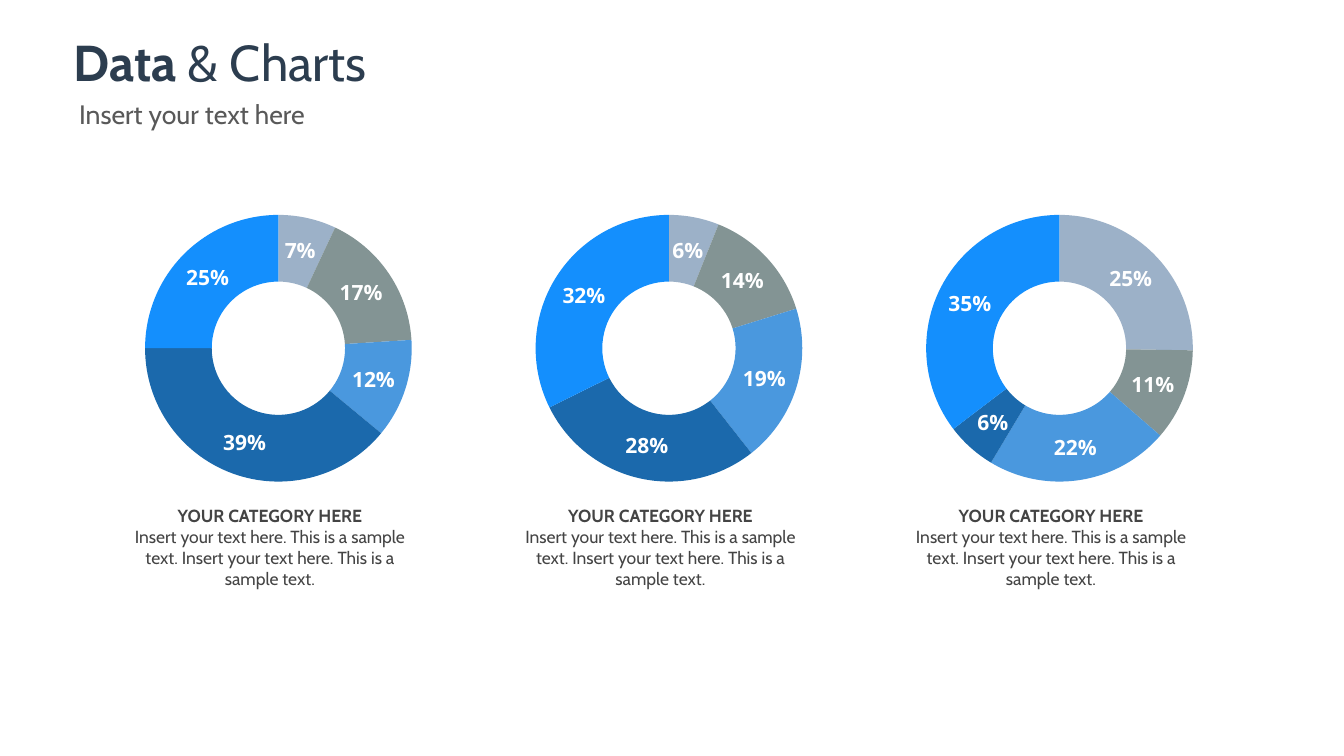
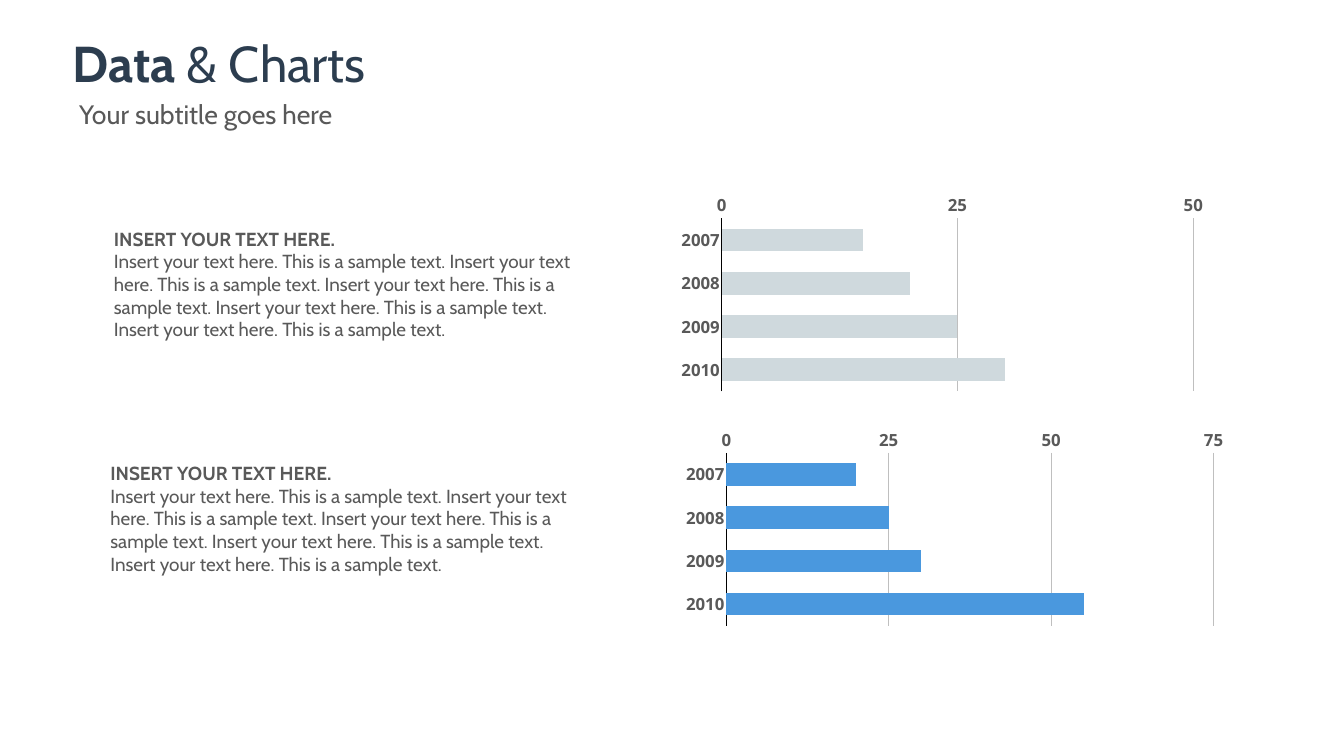
from dataclasses import dataclass

from pptx import Presentation
from pptx.chart.data import CategoryChartData
from pptx.dml.color import RGBColor
from pptx.enum.chart import XL_AXIS_CROSSES, XL_CHART_TYPE, XL_TICK_MARK
from pptx.enum.text import MSO_ANCHOR, MSO_AUTO_SIZE, PP_ALIGN
from pptx.oxml import parse_xml
from pptx.oxml.ns import nsdecls
from pptx.util import Inches, Pt

# Content
TITLE = [("Data ", True), ("& Charts", False)]
SAMPLE = "Insert your text here. This is a sample text."

DONUT_SUBTITLE = "Insert your text here"
DONUT_HEADING = "YOUR CATEGORY HERE"
DONUT_BODY = " ".join([SAMPLE] * 2)
DONUT_CATEGORIES = ["1", "2", "3", "4", "5"]
DONUTS = [[7, 17, 12, 39, 25], [6, 14, 19, 28, 32], [25, 11, 22, 6, 35]]

BAR_SUBTITLE = "Your subtitle goes here"
BAR_HEADING = "INSERT YOUR TEXT HERE."
BAR_BODY = " ".join([SAMPLE] * 5)
YEARS = ["2007", "2008", "2009", "2010"]
BARS = [
    {"values": [15, 20, 25, 30], "maximum": 50, "color": "CFD9DD",
     "plot": (0.121, 0.099, 0.813, 0.746)},
    {"values": [20, 25, 30, 55], "maximum": 75, "color": "4A98DE",
     "plot": (0.135, 0.099, 0.84, 0.746)},
]
SERIES_NAME = "Region 1"


# Theme
@dataclass(frozen=True)
class Theme:
    text_font: str = "Cabin"
    number_font: str = "Open Sans"
    chart_font: str = "Calibri"
    navy: str = "2C3D4F"
    gray: str = "595959"
    dark_gray: str = "444444"
    grid: str = "BFBFBF"
    black: str = "000000"
    white: str = "FFFFFF"
    slices: tuple = ("9CB1C8", "839494", "4A98DE", "1B69AC", "148FFD")
    title_size: int = 72
    subtitle_size: int = 38
    body_size: int = 27
    caption_size: int = 25
    label_size: int = 30
    axis_size: int = 24
    chart_size: int = 10


THEME = Theme()

# Grid, in inches
SLIDE_WIDTH, SLIDE_HEIGHT = 26.67, 15
INSET = 0.06
DONUT_LEFT, DONUT_TOP, DONUT_PITCH = 0.5, 3.92, 7.75
DONUT_WIDTH, DONUT_HEIGHT = 9.71, 5.98
DONUT_PLOT = (0.245, 0.057, 0.545, 0.886)
CAPTION_WIDTH, CAPTION_HEIGHT = 6.04, 1.8
CAPTION_TOP = DONUT_TOP + DONUT_HEIGHT + 0.05
BAR_LEFT, BAR_TOP, BAR_WIDTH, BAR_HEIGHT = 12.93, 3.85, 11.51, 4.63
ROW_PITCH, ROW_SHIFT = 4.65, -0.07
BODY_LEFT, BODY_TOP, BODY_WIDTH, BODY_HEIGHT = 2.26, 4.51, 9.36, 2.27


# Helpers
def apply(target, **values):
    for name, value in values.items():
        setattr(target, name, value)


def style_font(font, name, size, color, bold=False):
    apply(font, name=name, size=Pt(size), bold=bold)
    font.color.rgb = RGBColor.from_string(color)


def place(shape, left, top, width, height):
    apply(shape, left=Inches(left), top=Inches(top),
          width=Inches(width), height=Inches(height))


def fill_text(shape, paragraphs, size, color, inset=INSET, wrap=True,
              anchor=MSO_ANCHOR.MIDDLE, align=PP_ALIGN.LEFT):
    """Write paragraphs, each a list of (text, bold) runs."""
    frame = shape.text_frame
    margin = Inches(inset)
    apply(frame, word_wrap=wrap, auto_size=MSO_AUTO_SIZE.SHAPE_TO_FIT_TEXT,
          vertical_anchor=anchor, margin_left=margin, margin_right=margin,
          margin_top=margin, margin_bottom=margin)
    for index, runs in enumerate(paragraphs):
        paragraph = frame.add_paragraph() if index else frame.paragraphs[0]
        paragraph.alignment = align
        for text, bold in runs:
            run = paragraph.add_run()
            run.text = text
            style_font(run.font, THEME.text_font, size, color, bold)


def add_text(slide, box, paragraphs, size, color, **options):
    shape = slide.shapes.add_textbox(*map(Inches, box))
    fill_text(shape, paragraphs, size, color, **options)


def add_titled_slide(presentation, subtitle, subtitle_width, title_left, title_top):
    slide = presentation.slides.add_slide(presentation.slide_layouts[5])
    title = slide.shapes.title
    place(title, title_left, title_top, 6.53, 1.32)
    fill_text(title, [TITLE], THEME.title_size, THEME.navy, wrap=False)
    add_text(slide, (1.51, 1.89, subtitle_width, 0.75), [[(subtitle, False)]],
             THEME.subtitle_size, THEME.gray, wrap=False)
    return slide


def add_plain_chart(slide, kind, box, categories, values, plot_box):
    data = CategoryChartData()
    data.categories = categories
    data.add_series(SERIES_NAME, values)
    chart = slide.shapes.add_chart(kind, *map(Inches, box), data).chart
    apply(chart, has_title=False, has_legend=False)
    style_font(chart.font, THEME.chart_font, THEME.chart_size, THEME.black)
    # Fix the inner plot area as shares of the chart
    area = chart.element.xpath(".//c:plotArea")[0]
    for layout in area.xpath("./c:layout"):
        area.remove(layout)
    shares = "".join(f'<c:{tag} val="{share}"/>' for tag, share in zip("xywh", plot_box))
    area.insert(0, parse_xml(
        f'<c:layout {nsdecls("c")}><c:manualLayout><c:layoutTarget val="inner"/>'
        f'<c:xMode val="edge"/><c:yMode val="edge"/>{shares}'
        "</c:manualLayout></c:layout>"))
    return chart


def add_donut(slide, left, values):
    box = (left, DONUT_TOP, DONUT_WIDTH, DONUT_HEIGHT)
    chart = add_plain_chart(slide, XL_CHART_TYPE.DOUGHNUT, box,
                            DONUT_CATEGORIES, values, DONUT_PLOT)
    plot = chart.plots[0]
    for index, color in enumerate(THEME.slices):
        point_format = plot.series[0].points[index].format
        point_format.fill.solid()
        point_format.fill.fore_color.rgb = RGBColor.from_string(color)
        point_format.line.fill.background()
    plot.has_data_labels = True
    labels = plot.data_labels
    apply(labels, show_value=False, show_percentage=True,
          number_format="0%", number_format_is_linked=False)
    style_font(labels.font, THEME.number_font, THEME.label_size, THEME.white, True)


def add_bars(slide, left, top, bar):
    box = (left, top, BAR_WIDTH, BAR_HEIGHT)
    chart = add_plain_chart(slide, XL_CHART_TYPE.BAR_CLUSTERED, box,
                            YEARS, bar["values"], bar["plot"])
    plot = chart.plots[0]
    apply(plot, gap_width=90, vary_by_categories=False)
    fill = plot.series[0].format.fill
    fill.solid()
    fill.fore_color.rgb = RGBColor.from_string(bar["color"])
    years, amounts = chart.category_axis, chart.value_axis
    for axis in (years, amounts):
        apply(axis, major_tick_mark=XL_TICK_MARK.NONE, minor_tick_mark=XL_TICK_MARK.NONE)
        style_font(axis.tick_labels.font, THEME.number_font,
                   THEME.axis_size, THEME.gray, True)
    apply(years, reverse_order=True, crosses=XL_AXIS_CROSSES.MAXIMUM,
          has_major_gridlines=False)
    apply(amounts, minimum_scale=0, maximum_scale=bar["maximum"],
          major_unit=25, has_major_gridlines=True)
    amounts.format.line.fill.background()
    for line, color in ((years.format.line, THEME.black),
                        (amounts.major_gridlines.format.line, THEME.grid)):
        line.width = Pt(1)
        line.color.rgb = RGBColor.from_string(color)


presentation = Presentation()
apply(presentation, slide_width=Inches(SLIDE_WIDTH), slide_height=Inches(SLIDE_HEIGHT))

# Slide 1: three doughnuts with captions
slide = add_titled_slide(presentation, DONUT_SUBTITLE, 4.85, 1.4, 0.56)
for column, values in enumerate(DONUTS):
    left = DONUT_LEFT + column * DONUT_PITCH
    add_donut(slide, left, values)
    caption_left = left + (DONUT_WIDTH - CAPTION_WIDTH) / 2
    add_text(slide, (caption_left, CAPTION_TOP, CAPTION_WIDTH, CAPTION_HEIGHT),
             [[(DONUT_HEADING, True)], [(DONUT_BODY, False)]],
             THEME.caption_size, THEME.dark_gray, align=PP_ALIGN.CENTER)

# Slide 2: two rows of text beside bars
slide = add_titled_slide(presentation, BAR_SUBTITLE, 5.59, 1.38, 0.57)
for row, bar in enumerate(BARS):
    shift, drop = row * ROW_SHIFT, row * ROW_PITCH
    add_text(slide, (BODY_LEFT + shift, BODY_TOP + drop, BODY_WIDTH, BODY_HEIGHT),
             [[(BAR_HEADING, True)], [(BAR_BODY, False)]],
             THEME.body_size, THEME.gray, inset=0, anchor=MSO_ANCHOR.TOP)
    add_bars(slide, BAR_LEFT + shift, BAR_TOP + drop, bar)

presentation.save("out.pptx")
